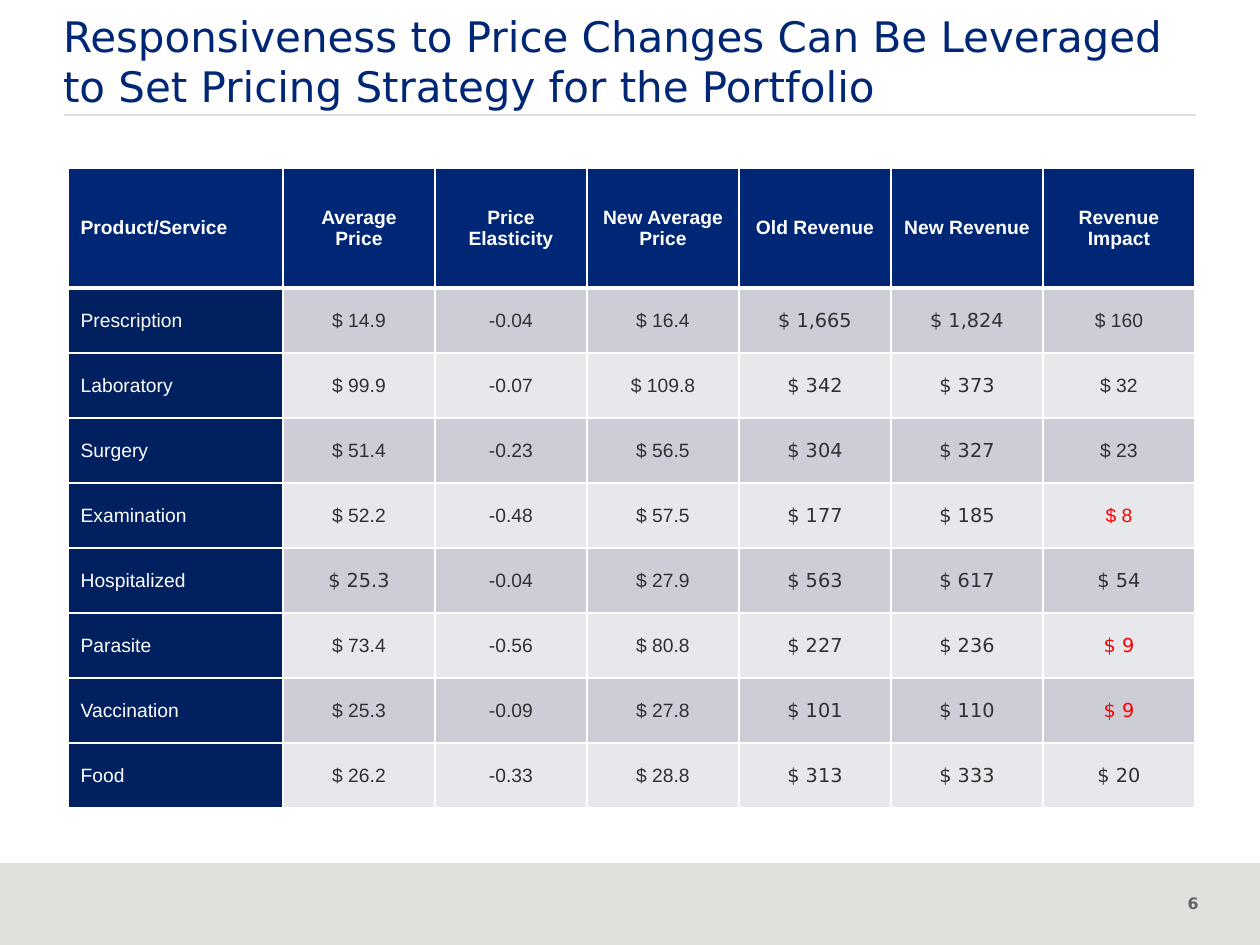
"""Build the slide on price elasticity and revenue impact by product."""
import pptx
import pptx.util
import pptx.dml.color
import pptx.enum.shapes
import pptx.enum.text
import pptx.oxml
import pptx.oxml.ns

PX = 914400 / 126
SANS, ARIAL = "DejaVu Sans", "Arial"
HUES = {
    "title": "002776", "head": "002776", "side": "002060",
    "dark": "CCCDD6", "light": "E7E8EC", "band": "E0E1DD",
    "white": "FFFFFF", "text": "303132", "red": "FF0000", "page": "616365",
}
ROWS = [
    ["Product/Service", "Average Price", "Price Elasticity", "New Average Price",
     "Old Revenue", "New Revenue", "Revenue Impact"],
    ["Prescription", "$ 14.9", "-0.04", "$ 16.4", "$ 1,665", "$ 1,824", "$ 160"],
    ["Laboratory", "$ 99.9", "-0.07", "$ 109.8", "$ 342", "$ 373", "$ 32"],
    ["Surgery", "$ 51.4", "-0.23", "$ 56.5", "$ 304", "$ 327", "$ 23"],
    ["Examination", "$ 52.2", "-0.48", "$ 57.5", "$ 177", "$ 185", "$ 8"],
    ["Hospitalized", "$ 25.3", "-0.04", "$ 27.9", "$ 563", "$ 617", "$ 54"],
    ["Parasite", "$ 73.4", "-0.56", "$ 80.8", "$ 227", "$ 236", "$ 9"],
    ["Vaccination", "$ 25.3", "-0.09", "$ 27.8", "$ 101", "$ 110", "$ 9"],
    ["Food", "$ 26.2", "-0.33", "$ 28.8", "$ 313", "$ 333", "$ 20"],
]
SANS_CELLS = {(5, 1), (5, 6), (6, 6), (7, 6), (8, 6)}
RED_CELLS = {(4, 6), (6, 6), (7, 6)}
ALIGN = pptx.enum.text.PP_ALIGN
ANCHOR = pptx.enum.text.MSO_ANCHOR


def px(*nums):
    return [pptx.util.Emu(round(num * PX)) for num in nums]


def style(par, face, size, hue, bold, align):
    par.alignment = align
    par.font.name = face
    par.font.size = pptx.util.Pt(size)
    par.font.bold = bold
    par.font.color.rgb = pptx.dml.color.RGBColor.from_string(HUES[hue])


deck = pptx.Presentation()
deck.slide_width, deck.slide_height = px(1260, 945)
slide = deck.slides.add_slide(deck.slide_layouts[5])
shapes = slide.shapes

band = shapes.add_shape(pptx.enum.shapes.MSO_SHAPE.RECTANGLE, *px(0, 863, 1260, 82))
band.shadow.inherit = False
band.fill.solid()
band.fill.fore_color.rgb = pptx.dml.color.RGBColor.from_string(HUES["band"])
band.line.fill.background()

page = shapes.add_textbox(*px(1133, 888, 78, 50)).text_frame
page.word_wrap = True
page.text = "6"
style(page.paragraphs[0], SANS, 9, "page", True, ALIGN.RIGHT)

rule = shapes.add_connector(
    pptx.enum.shapes.MSO_CONNECTOR.STRAIGHT, *px(64, 115, 1196, 115))
rule.line.color.rgb = pptx.dml.color.RGBColor.from_string(HUES["band"])
rule.line.width = pptx.util.Pt(0.75)
rule._element.spPr.append(pptx.oxml.parse_xml(
    f'<a:effectLst {pptx.oxml.ns.nsdecls("a")}/>'))

title = shapes.title
title.left, title.top, title.width, title.height = px(63, 10, 1133, 87)
frame = title.text_frame
frame.text = ("Responsiveness to Price Changes Can Be Leveraged "
              "to Set Pricing Strategy for the Portfolio")
frame.margin_left = frame.margin_right = frame.margin_top = frame.margin_bottom = 0
frame.vertical_anchor = ANCHOR.TOP
frame.auto_size = pptx.enum.text.MSO_AUTO_SIZE.NONE
frame.word_wrap = True
style(frame.paragraphs[0], SANS, 24, "title", False, ALIGN.LEFT)

table = shapes.add_table(len(ROWS), len(ROWS[0]), *px(68, 168, 1127, 640)).table
table.horz_banding = False
for col, wide in zip(table.columns, px(215, *[152] * 6)):
    col.width = wide
for row, high in zip(table.rows, px(120, *[65] * 8)):
    row.height = high

for r, texts in enumerate(ROWS):
    for c, text in enumerate(texts):
        cell = table.cell(r, c)
        cell.text = text
        cell.vertical_anchor = ANCHOR.MIDDLE
        head, side = r == 0, c == 0
        money = not head and c in (4, 5)
        if money:
            cell.margin_left, cell.margin_right, cell.margin_top = px(1, 1, 1)
            cell.margin_bottom = 0
        face = SANS if money or (r, c) in SANS_CELLS else ARIAL
        hue = "white" if head or side else "red" if (r, c) in RED_CELLS else "text"
        align = ALIGN.LEFT if side else ALIGN.CENTER
        style(cell.text_frame.paragraphs[0], face, 11, hue, head, align)
        props = cell._tc.get_or_add_tcPr()
        for edge in "LRTB":
            thick = (r, edge) in ((0, "B"), (1, "T"))
            props.append(pptx.oxml.parse_xml(
                f'<a:ln{edge} {pptx.oxml.ns.nsdecls("a")} w="{38100 if thick else 12700}">'
                f'<a:solidFill><a:srgbClr val="{HUES["white"]}"/></a:solidFill></a:ln{edge}>'))
        fill = "head" if head else "side" if side else "dark" if r % 2 else "light"
        cell.fill.solid()
        cell.fill.fore_color.rgb = pptx.dml.color.RGBColor.from_string(HUES[fill])

deck.save("out.pptx")
